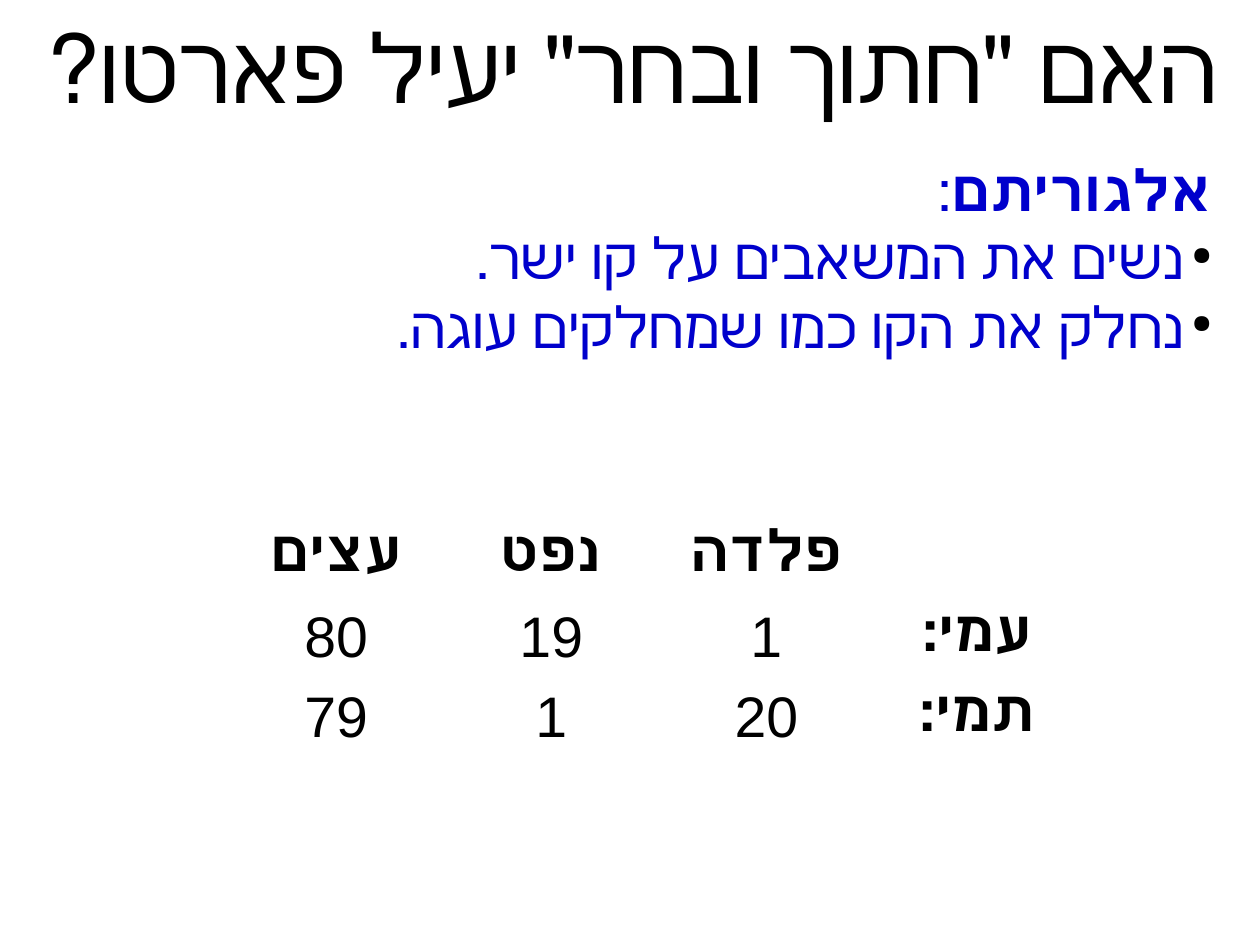
from lxml.etree import SubElement
from pptx import Presentation
from pptx.dml.color import RGBColor
from pptx.enum.lang import MSO_LANGUAGE_ID
from pptx.enum.text import MSO_ANCHOR, PP_ALIGN
from pptx.oxml.ns import qn
from pptx.util import Cm, Pt

# Content
TITLE = 'האם "חתוך ובחר" יעיל פארטו?'
HEADING = "אלגוריתם"
STEPS = ["נשים את המשאבים על קו ישר.", "נחלק את הקו כמו שמחלקים עוגה."]
VALUES = [
    ["עצים", "נפט", "פלדה", ""],
    ["80", "19", "1", "עמי:"],
    ["79", "1", "20", "תמי:"],
]

# Layout and colours
COLUMN_WIDTHS = [4.78, 4.78, 4.78, 4.62]
ROW_HEIGHTS = [1.73, 1.73, 1.96]
INDENT = Cm(0.61)
FONT = "Arial"
BLACK, BLUE, WHITE = "000000", "0000CC", "FFFFFF"


def color(hex_text):
    return RGBColor.from_string(hex_text)


def add_text(para, text, size=36, ink=BLACK, bold=False,
             align=PP_ALIGN.CENTER, rtl=True, indent=0, bullet=None):
    """Add one formatted span to a paragraph and set the paragraph's direction."""
    para.alignment = align
    properties = para._p.get_or_add_pPr()
    if rtl:
        properties.set("rtl", "1")
    if indent:
        properties.set("marL", str(indent))
        properties.set("indent", str(-indent if bullet else 0))
    if bullet:
        tint = SubElement(properties, qn("a:buClr"))
        SubElement(tint, qn("a:srgbClr"), val=BLACK)
        SubElement(properties, qn("a:buSzPct"), val="45000")
        SubElement(properties, qn("a:buChar"), char=bullet)
    span = para.add_run()
    span.text = text
    span.font.size, span.font.bold = Pt(size), bold
    span.font.name = FONT
    span.font.color.rgb = color(ink)
    span.font.language_id = MSO_LANGUAGE_ID.HEBREW


def add_box(slide, left, top, width, height, anchor=MSO_ANCHOR.TOP, wrap=True):
    box = slide.shapes.add_textbox(Cm(left), Cm(top), Cm(width), Cm(height))
    frame = box.text_frame
    frame.word_wrap = wrap
    frame.vertical_anchor = anchor
    return frame


def main():
    deck = Presentation()
    deck.slide_width, deck.slide_height = Cm(28), Cm(21)
    slide = deck.slides.add_slide(deck.slide_layouts[6])

    # Title, always on one line
    frame = add_box(slide, 0.51, 0.13, 27.69, 2.67, MSO_ANCHOR.MIDDLE, wrap=False)
    frame.margin_left = frame.margin_right = 0
    frame.margin_top = frame.margin_bottom = 0
    add_text(frame.paragraphs[0], TITLE, size=60, indent=INDENT)

    # Algorithm steps
    frame = add_box(slide, 1.02, 3.3, 26.16, 16.1)
    heading = frame.paragraphs[0]
    add_text(heading, HEADING, ink=BLUE, bold=True, align=PP_ALIGN.RIGHT)
    add_text(heading, ":", ink=BLUE, align=PP_ALIGN.RIGHT)
    for step in STEPS:
        add_text(frame.add_paragraph(), step, ink=BLUE, align=PP_ALIGN.RIGHT,
                 indent=INDENT, bullet="●")

    # Table of values
    table = slide.shapes.add_table(
        len(VALUES), len(COLUMN_WIDTHS), Cm(5.08), Cm(11.56),
        Cm(sum(COLUMN_WIDTHS)), Cm(sum(ROW_HEIGHTS))).table
    table.first_row = table.horz_banding = False
    for column, width in zip(table.columns, COLUMN_WIDTHS):
        column.width = Cm(width)
    for row, height in zip(table.rows, ROW_HEIGHTS):
        row.height = Cm(height)
    for r, values in enumerate(VALUES):
        for c, value in enumerate(values):
            cell = table.cell(r, c)
            cell.fill.solid()
            cell.fill.fore_color.rgb = color(WHITE)
            if value:
                is_name = c == len(values) - 1
                add_text(cell.text_frame.paragraphs[0], value,
                         bold=r == 0 or is_name, rtl=is_name)

    deck.save("out.pptx")


if __name__ == "__main__":
    main()
